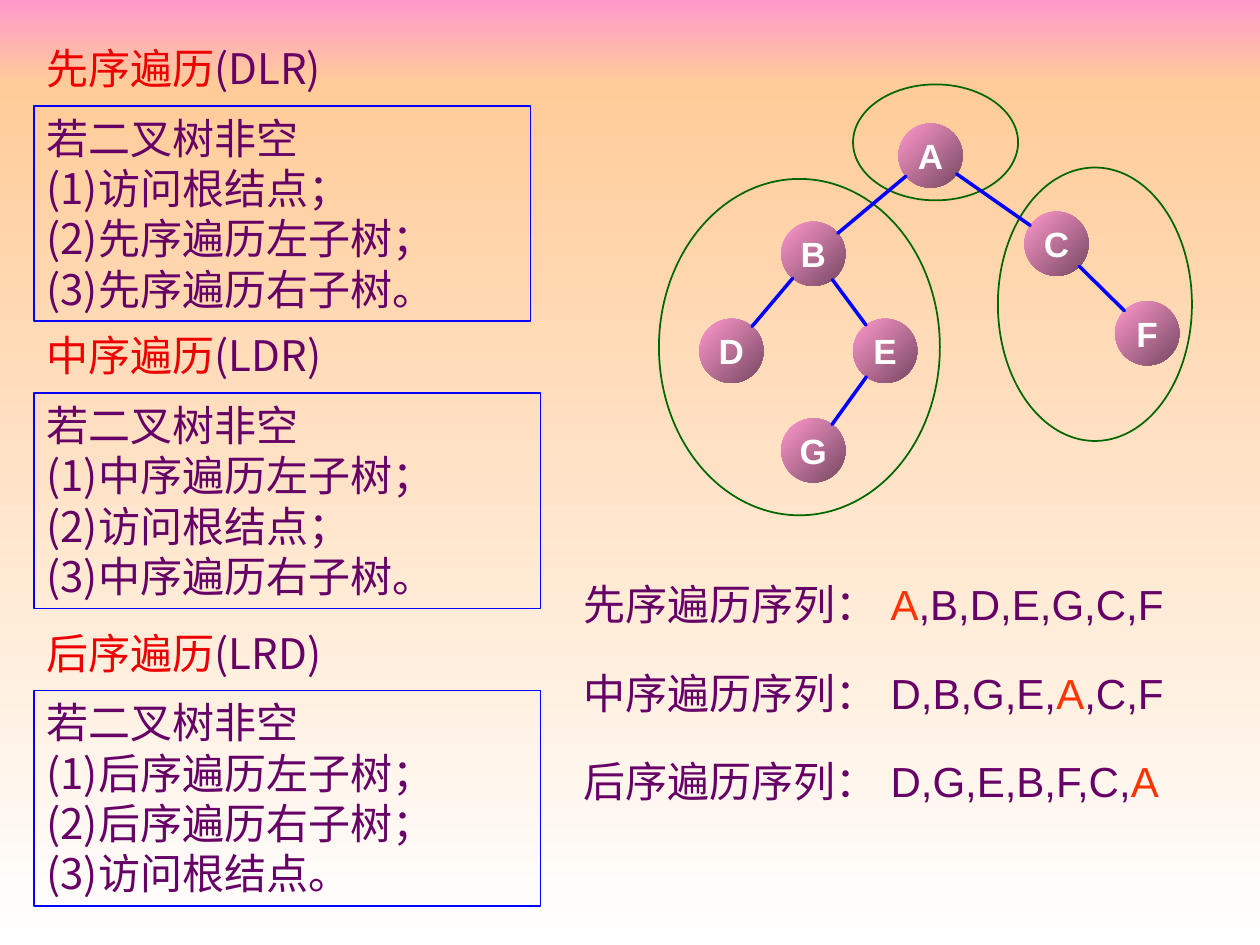
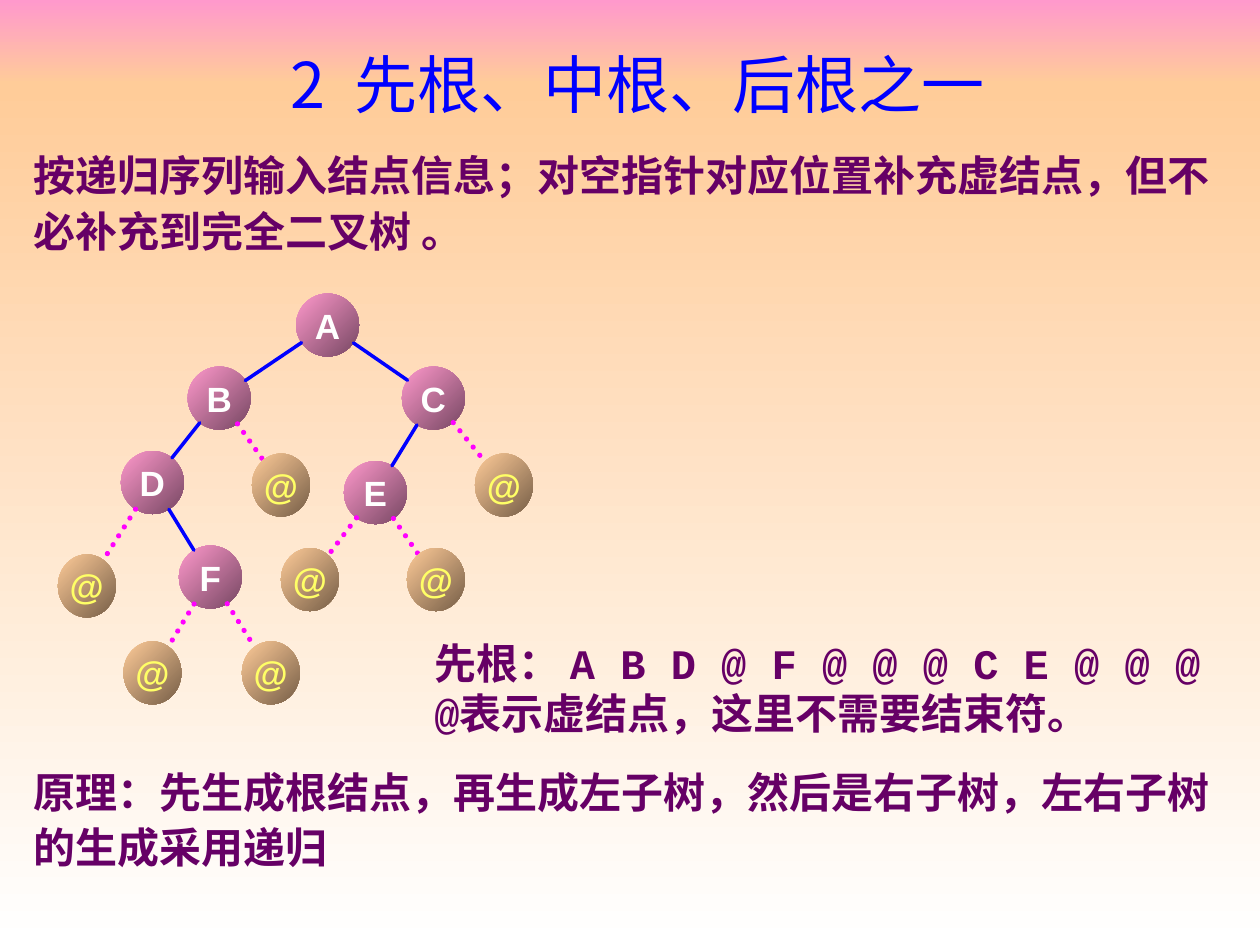
from dataclasses import dataclass
from math import hypot

from pptx import Presentation
from pptx import util as u
from pptx.dml.color import RGBColor
from pptx.enum import dml, shapes, text
from pptx.oxml import ns, xmlchemy

COLUMNS, ROWS = 100, 75
UNIT = u.Inches(0.1)

CJK, LATIN, MONO = "Noto Sans CJK SC", "Arial", "Courier New"
PLUM, RED, ORANGE, BLUE, GREEN = "660066", "EE0000", "FF3300", "0000FF", "006600"
PINK, PEACH, WHITE, YELLOW, MAGENTA = "FF99CC", "FFCC99", "FFFFFF", "FFFF66", "FF00FF"
NODE_FILL, DUMMY_FILL = (PINK, "764762"), (PEACH, "765E47")

STEPS = {"D": "访问根结点", "L": "{}左子树", "R": "{}右子树"}
TRAVERSALS = [
    ("先序遍历", "DLR", "A,B,D,E,G,C,F", 2.9, 39.4),
    ("中序遍历", "LDR", "D,B,G,E,A,C,F", 25.7, 40.2),
    ("后序遍历", "LRD", "D,G,E,B,F,C,A", 49.3, 40.2),
]


@dataclass
class Box:
    left: float
    top: float
    width: float
    height: float

    def inside(self, left, top, width, height):
        return Box(self.left + left, self.top + top, width, height)

    def around(self, center, radius_x, radius_y):
        column, row = center
        return self.inside(column - radius_x, row - radius_y, 2 * radius_x, 2 * radius_y)

    def lengths(self):
        return [u.Emu(round(n * UNIT)) for n in (self.left, self.top, self.width, self.height)]


def color(value):
    return RGBColor.from_string(value)


def add_run(paragraph, words, font, hue, size=24, bold=False):
    run = paragraph.add_run()
    run.text = words
    run.font.name, run.font.size, run.font.bold = font, u.Pt(size), bold
    run.font.color.rgb = color(hue)
    east_asian = xmlchemy.OxmlElement("a:ea")
    east_asian.set("typeface", CJK)
    run.font._element.append(east_asian)


def add_textbox(slide, box, wrap=True, anchor=text.MSO_ANCHOR.TOP):
    frame = slide.shapes.add_textbox(*box.lengths()).text_frame
    frame.word_wrap = wrap
    frame.vertical_anchor = anchor
    return frame


def add_shape(slide, kind, box, line=None, gradient=None, angle=45):
    shape = slide.shapes.add_shape(kind, *box.lengths())
    shape.shadow.inherit = False
    if gradient:
        shape.fill.gradient()
        shape.fill.gradient_angle = 360 - angle
        for stop, hue in zip(shape.fill.gradient_stops, gradient):
            stop.color.rgb = color(hue)
    else:
        shape.fill.background()
    if line:
        shape.line.color.rgb = color(line)
        shape.line.width = u.Pt(1)
    else:
        shape.line.fill.background()
    return shape


def add_master_bands(presentation, slide):
    tree = presentation.slide_master.shapes._spTree
    sky = 6.7
    bands = [
        (Box(0, 0, COLUMNS, sky), (PINK, PEACH)),
        (Box(0, sky, COLUMNS, ROWS - sky), (PEACH, WHITE)),
    ]
    for position, (box, gradient) in enumerate(bands, 2):
        band = add_shape(slide, shapes.MSO_SHAPE.RECTANGLE, box, gradient=gradient, angle=90)
        tree.insert(position, band._element)


def add_node(slide, box, label, gradient, hue):
    frame = add_shape(slide, shapes.MSO_SHAPE.OVAL, box, gradient=gradient).text_frame
    frame.word_wrap = False
    frame.vertical_anchor = text.MSO_ANCHOR.MIDDLE
    paragraph = frame.paragraphs[0]
    paragraph.alignment = text.PP_ALIGN.CENTER
    add_run(paragraph, label, LATIN, hue, 20, True)


def add_edge(slide, box, parent, child, radius, dotted=False):
    across, down = child[0] - parent[0], child[1] - parent[1]
    share = radius / hypot(across, down)
    ends = []
    for part in (share, 1 - share):
        ends += [box.left + parent[0] + part * across, box.top + parent[1] + part * down]
    connector = slide.shapes.add_connector(
        shapes.MSO_CONNECTOR.STRAIGHT, *[u.Emu(round(end * UNIT)) for end in ends])
    connector.line.color.rgb = color(MAGENTA if dotted else BLUE)
    connector.line.width = u.Pt(3 if dotted else 2)
    if dotted:
        connector.line.dash_style = dml.MSO_LINE.ROUND_DOT
    properties = connector._element.spPr
    properties.find(ns.qn("a:ln")).set("cap", "rnd")
    properties.append(xmlchemy.OxmlElement("a:effectLst"))


def add_tree(slide, box, nodes, edges, radius, dummies=()):
    for label, center in nodes.items():
        add_node(slide, box.around(center, radius, radius), label, NODE_FILL, WHITE)
    for parent, child in edges:
        add_edge(slide, box, nodes[parent], nodes[child], radius)
    for parent, center in dummies:
        add_edge(slide, box, nodes[parent], center, radius, dotted=True)
        add_node(slide, box.around(center, 2.3, 2.5), "@", DUMMY_FILL, YELLOW)


def add_traversal_rule(slide, box, name, order):
    heading = add_textbox(slide, box.inside(0, 0, box.width, 5)).paragraphs[0]
    add_run(heading, name, CJK, RED)
    add_run(heading, f"({order})", CJK, PLUM)

    panel = add_shape(slide, shapes.MSO_SHAPE.RECTANGLE,
                      box.inside(0, 5.5, box.width, 17.1), line=BLUE)
    frame = panel.text_frame
    frame.word_wrap = True
    frame.vertical_anchor = text.MSO_ANCHOR.TOP
    lines = ["若二叉树非空"]
    for number, letter in enumerate(order, 1):
        end = "。" if number == len(order) else "；"
        lines.append(f"({number}){STEPS[letter].format(name)}{end}")
    for index, line in enumerate(lines):
        paragraph = frame.add_paragraph() if index else frame.paragraphs[0]
        paragraph.alignment = text.PP_ALIGN.LEFT
        add_run(paragraph, line, CJK, PLUM)


def add_sequences(slide, box):
    step = box.height / len(TRAVERSALS)
    label_width, value_left = 25.3, 24.4
    for index, (name, _, sequence, _, _) in enumerate(TRAVERSALS):
        row = index * step
        label = add_textbox(slide, box.inside(0, row, label_width, 5))
        add_run(label.paragraphs[0], f"{name}序列：", LATIN, PLUM)
        values = add_textbox(slide, box.inside(value_left, row, box.width - value_left, 5))
        for part in sequence.partition("A"):
            if part:
                add_run(values.paragraphs[0], part, LATIN, ORANGE if part == "A" else PLUM)


def add_subtree_rings(slide, box):
    for ring in [(0, 7.5, 22.3, 26.7), (26.9, 6.6, 15.4, 21.7), (15.4, 0, 13.1, 9.2)]:
        add_shape(slide, shapes.MSO_SHAPE.OVAL, box.inside(*ring), line=GREEN)


def build_traversal_slide(slide):
    for name, order, _, top, width in TRAVERSALS:
        add_traversal_rule(slide, Box(2.7, top, width, 22.6), name, order)
    tree_box = Box(52.3, 6.7, 42.3, 34.2)
    add_subtree_rings(slide, tree_box)
    nodes = {
        "A": (21.55, 5.65), "B": (12.25, 13.45), "C": (31.55, 12.65),
        "D": (5.75, 21.15), "E": (17.95, 21.15), "F": (38.75, 19.75),
        "G": (12.25, 29.05),
    }
    add_tree(slide, tree_box, nodes, ["AB", "AC", "BD", "BE", "EG", "CF"], 2.55)
    add_sequences(slide, Box(45.3, 45.4, 51, 21.15))


def add_title(slide, box, words):
    title = slide.shapes.title
    title.left, title.top, title.width, title.height = box.lengths()
    frame = title.text_frame
    frame.auto_size = text.MSO_AUTO_SIZE.NONE
    frame.vertical_anchor = text.MSO_ANCHOR.MIDDLE
    frame.paragraphs[0].alignment = text.PP_ALIGN.CENTER
    add_run(frame.paragraphs[0], words, CJK, BLUE, 36)


def add_statement(slide, box, words):
    paragraph = add_textbox(slide, box, anchor=text.MSO_ANCHOR.MIDDLE).paragraphs[0]
    paragraph.line_spacing = 1.1
    add_run(paragraph, words, LATIN, PLUM, bold=True)


def add_preorder_input(slide, box):
    frame = add_textbox(slide, box, wrap=False)
    add_run(frame.paragraphs[0], "先根： A B D @ F @ @ @ C E @ @ @", MONO, PLUM, bold=True)
    add_run(frame.add_paragraph(), "@表示虚结点，这里不需要结束符。", MONO, PLUM, bold=True)


def build_creation_slide(slide):
    add_title(slide, Box(8.1, 3.1, 85, 7), "2  先根、中根、后根之一")
    add_statement(slide, Box(1.7, 11, 97, 9.8),
                  "按递归序列输入结点信息；对空指针对应位置补充虚结点，但不必补充到完全二叉树 。")
    add_statement(slide, Box(1.7, 59.9, 97, 9.8),
                  "原理：先生成根结点，再生成左子树，然后是右子树，左右子树的生成采用递归")
    nodes = {
        "A": (21.4, 2.5), "B": (12.8, 8.3), "C": (29.8, 8.3),
        "D": (7.5, 15), "E": (25.2, 15.8), "F": (12.1, 22.5),
    }
    dummies = [
        ("B", (17.7, 15.2)), ("C", (35.4, 15.2)), ("D", (2.3, 23.2)),
        ("E", (20, 22.7)), ("E", (30, 22.7)),
        ("F", (7.5, 30.1)), ("F", (16.9, 30.1)),
    ]
    add_tree(slide, Box(4.6, 23.3, 37.7, 32.6), nodes,
             ["AB", "AC", "BD", "DF", "CE"], 2.5, dummies)
    add_preorder_input(slide, Box(33.5, 50.1, 64, 9))


def main():
    presentation = Presentation()
    presentation.slide_width = COLUMNS * UNIT
    presentation.slide_height = ROWS * UNIT
    title_only, blank = presentation.slide_layouts[5], presentation.slide_layouts[6]
    traversal_slide = presentation.slides.add_slide(blank)
    add_master_bands(presentation, traversal_slide)
    build_traversal_slide(traversal_slide)
    build_creation_slide(presentation.slides.add_slide(title_only))
    presentation.save("out.pptx")


if __name__ == "__main__":
    main()
